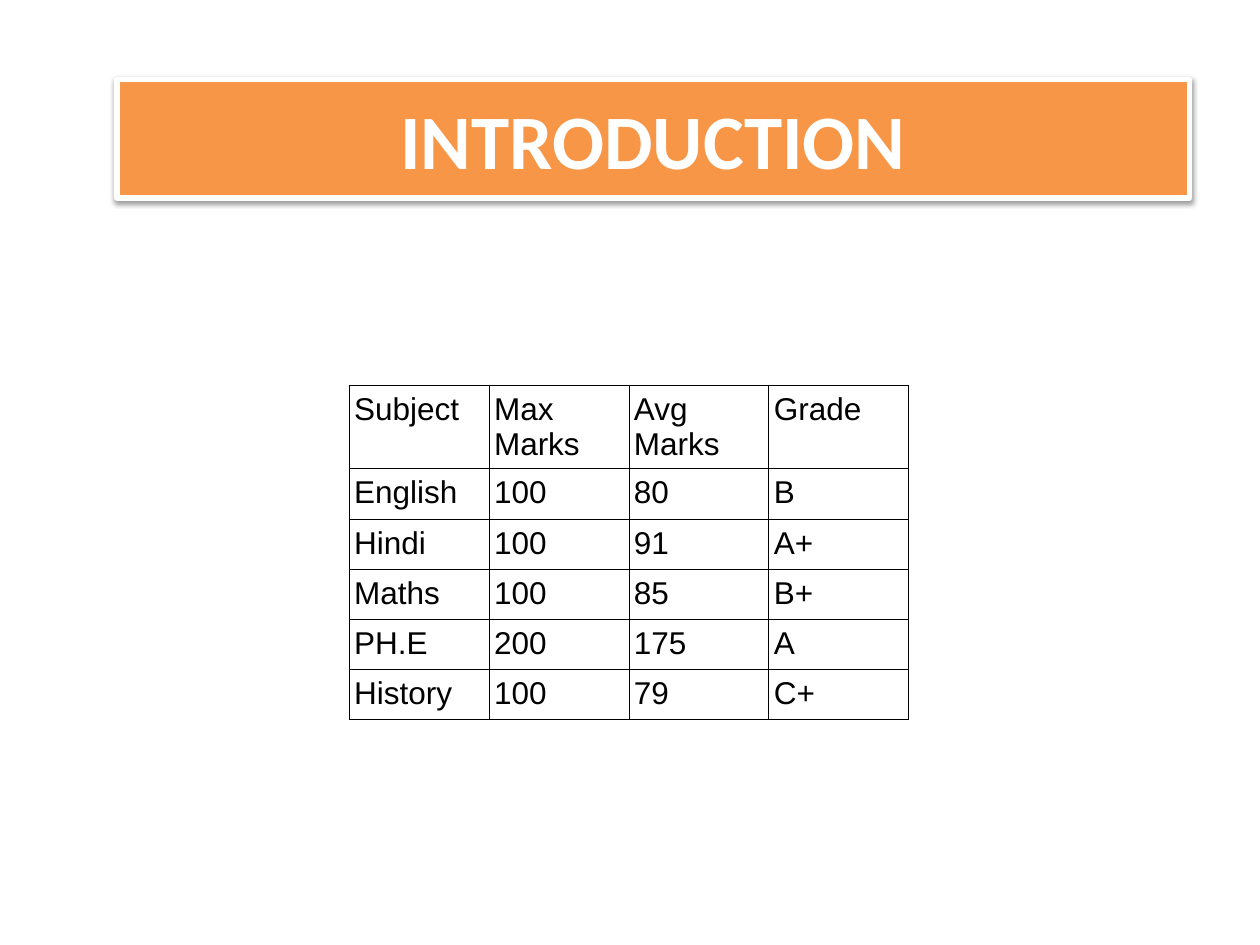
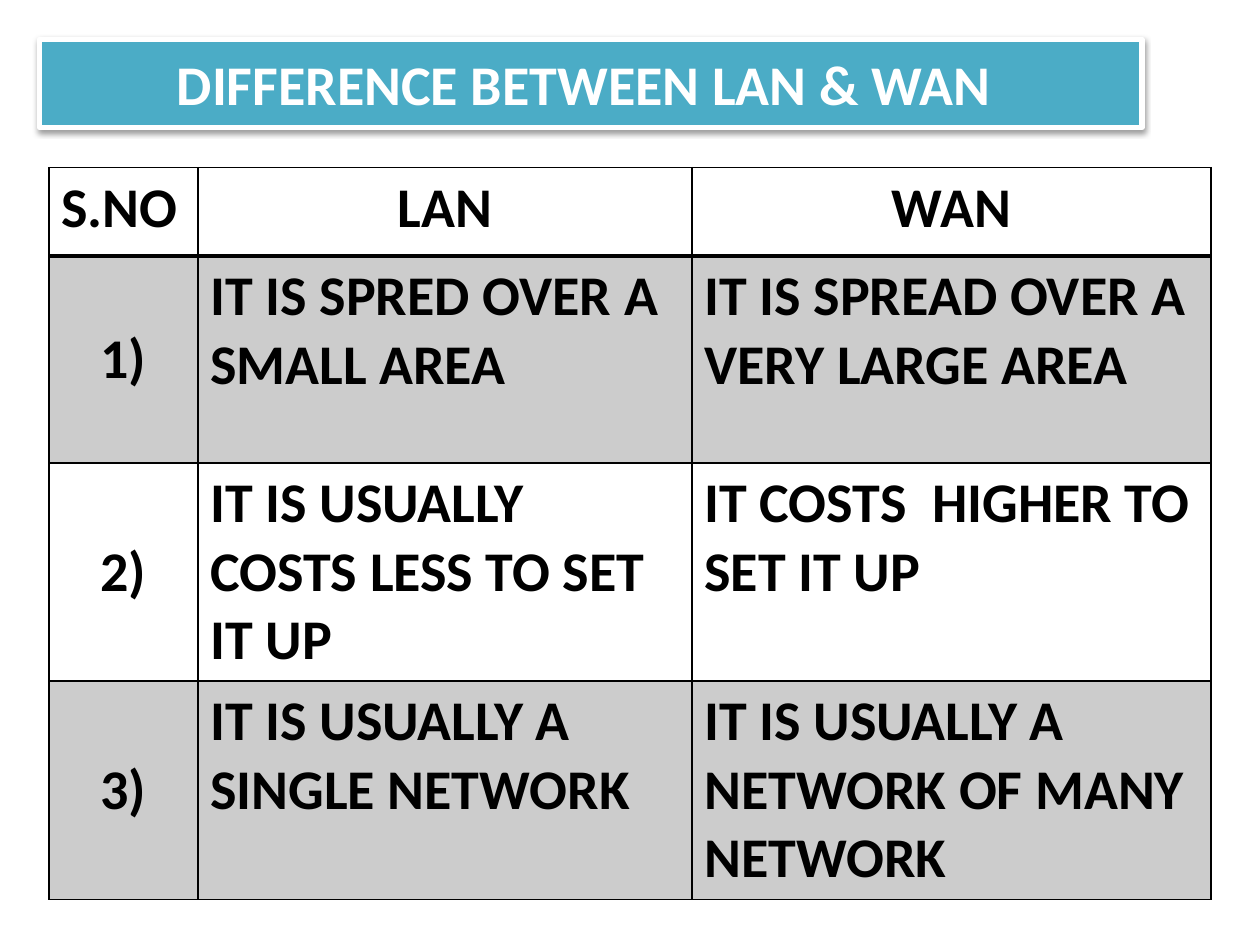
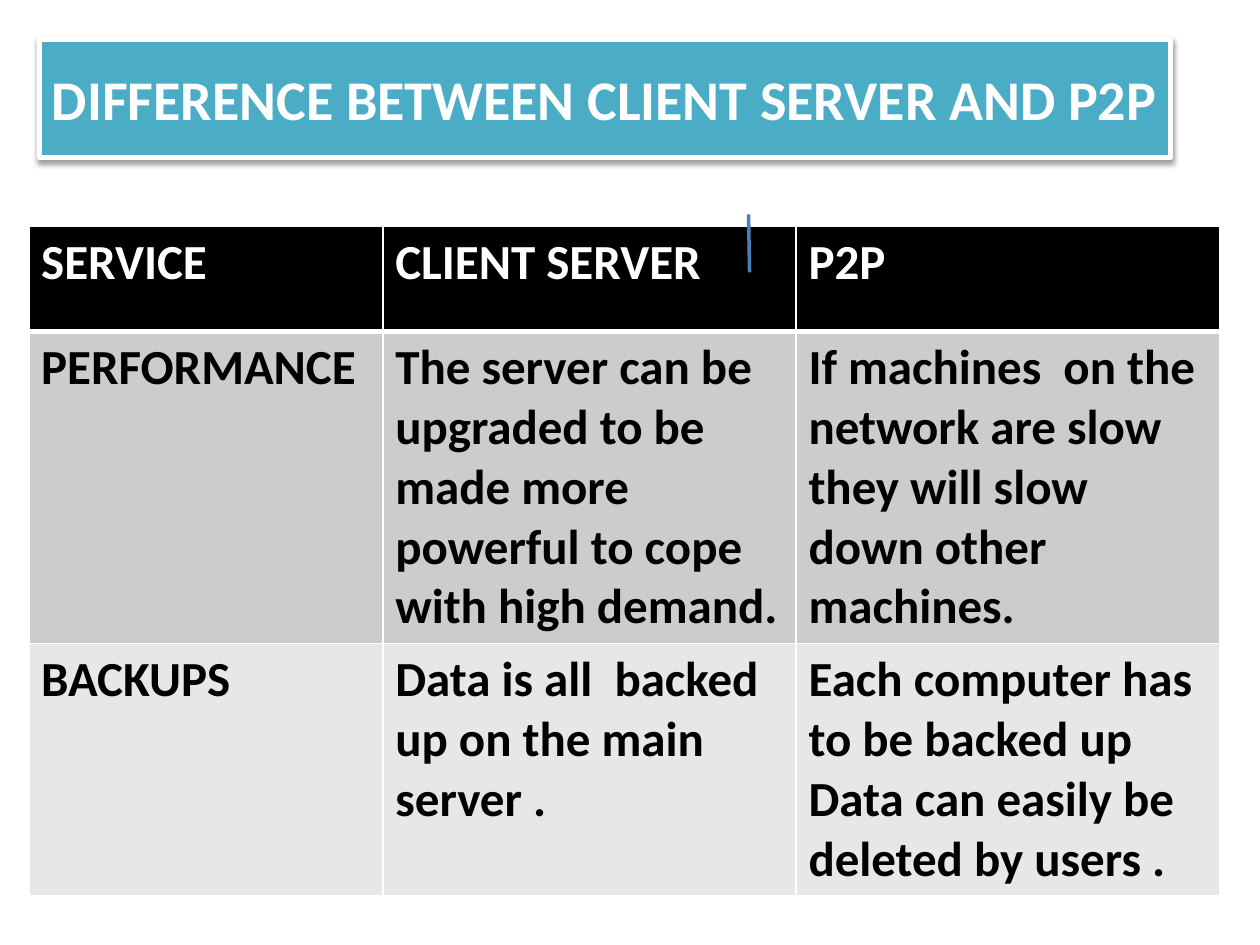
from dataclasses import dataclass

from lxml import etree
from pptx import Presentation
from pptx.dml.color import RGBColor
from pptx.enum.shapes import MSO_CONNECTOR
from pptx.enum.text import MSO_ANCHOR, MSO_AUTO_SIZE, PP_ALIGN
from pptx.oxml import parse_xml
from pptx.oxml.ns import nsdecls, qn
from pptx.util import Cm, Pt

STRAIGHT = MSO_CONNECTOR.STRAIGHT
CENTER, LEFT = PP_ALIGN.CENTER, PP_ALIGN.LEFT
MIDDLE, TOP = MSO_ANCHOR.MIDDLE, MSO_ANCHOR.TOP
TITLE_ONLY = 5

BLACK = RGBColor(0x00, 0x00, 0x00)
WHITE = RGBColor(0xFF, 0xFF, 0xFF)
ORANGE = RGBColor(0xF7, 0x96, 0x46)
TEAL = RGBColor(0x4B, 0xAC, 0xC6)
BLUE = RGBColor(0x4A, 0x7E, 0xBB)
GRAY = RGBColor(0xCC, 0xCC, 0xCC)
PALE_GRAY = RGBColor(0xE7, 0xE7, 0xE7)

MARKS = [
    ["Subject", "Max Marks", "Avg Marks", "Grade"],
    ["English", "100", "80", "B"],
    ["Hindi", "100", "91", "A+"],
    ["Maths", "100", "85", "B+"],
    ["PH.E", "200", "175", "A"],
    ["History", "100", "79", "C+"],
]
LAN_WAN = [
    ["S.NO", "LAN", "WAN"],
    ["1)", "IT IS SPRED OVER A SMALL AREA", "IT IS SPREAD OVER A VERY LARGE AREA"],
    ["2)", "IT IS USUALLY COSTS LESS TO SET IT UP", "IT COSTS  HIGHER TO SET IT UP"],
    ["3)", "IT IS USUALLY A SINGLE NETWORK", "IT IS USUALLY A NETWORK OF MANY NETWORK"],
]
CLIENT_P2P = [
    ["SERVICE", "CLIENT SERVER", "P2P"],
    ["PERFORMANCE",
     "The server can be upgraded to be made more powerful to cope with high demand.",
     "If machines  on the network are slow they will slow down other machines."],
    ["BACKUPS",
     "Data is all  backed  up on the main server .",
     "Each computer has to be backed up Data can easily be deleted by users ."],
]


@dataclass
class TableStyle:
    font: str
    size: int
    bold: bool
    border: RGBColor
    border_width: float
    header_rule: float
    row_fills: list
    header_color: RGBColor = BLACK
    margins: tuple = (0.25, 0.13)


MARKS_STYLE = TableStyle("Arial", 18, False, BLACK, 0.57, 0.57,
                         [None] * len(MARKS), margins=(0.1, 0.13))
LAN_STYLE = TableStyle("Calibri", 32, True, BLACK, 0.96, 1.98,
                       [None, GRAY, None, GRAY])
P2P_STYLE = TableStyle("Calibri", 28, True, WHITE, 0.96, 3,
                       [BLACK, GRAY, PALE_GRAY], header_color=WHITE)


def style_font(paragraph, name, size, bold, color):
    for run in paragraph.runs:
        run.font.name = name
        run.font.size = Pt(size)
        run.font.bold = bold
        run.font.color.rgb = color


def set_fill(fill, color):
    if color is None:
        fill.background()
    else:
        fill.solid()
        fill.fore_color.rgb = color


def add_shadow(shape):
    shape._element.spPr.append(parse_xml(
        f'<a:effectLst {nsdecls("a")}>'
        '<a:outerShdw blurRad="40000" dist="20000" dir="5400000" rotWithShape="0">'
        '<a:srgbClr val="000000"><a:alpha val="38000"/></a:srgbClr>'
        '</a:outerShdw></a:effectLst>'))


def add_titled_slide(presentation, text, color, size, left, top, width, height):
    """Add a slide whose title is a coloured band with a white frame."""
    slide = presentation.slides.add_slide(presentation.slide_layouts[TITLE_ONLY])
    title = slide.shapes.title
    title.left, title.top = Cm(left), Cm(top)
    title.width, title.height = Cm(width), Cm(height)
    set_fill(title.fill, color)
    title.line.color.rgb = WHITE
    title.line.width = Pt(3)
    add_shadow(title)
    frame = title.text_frame
    frame.text = text
    frame.word_wrap = True
    frame.auto_size = MSO_AUTO_SIZE.NONE
    frame.vertical_anchor = MIDDLE
    frame.paragraphs[0].alignment = CENTER
    style_font(frame.paragraphs[0], "Calibri", size, True, WHITE)
    return slide


def set_borders(cell, color, widths):
    """Draw the cell's sides; widths maps L, R, T, B to points, in that order."""
    properties = cell._tc.get_or_add_tcPr()
    for side, width in widths.items():
        line = etree.SubElement(properties, qn(f"a:ln{side}"), w=str(Pt(width)))
        solid = etree.SubElement(line, qn("a:solidFill"))
        etree.SubElement(solid, qn("a:srgbClr"), val=str(color))


def style_cell(cell, row, style):
    thin, rule = style.border_width, style.header_rule
    set_borders(cell, style.border, {
        "L": thin, "R": thin,
        "T": rule if row == 1 else thin,
        "B": rule if row == 0 else thin})
    set_fill(cell.fill, style.row_fills[row])
    side, edge = style.margins
    cell.margin_left = cell.margin_right = Cm(side)
    cell.margin_top = cell.margin_bottom = Cm(edge)
    color = style.header_color if row == 0 else BLACK
    style_font(cell.text_frame.paragraphs[0], style.font, style.size, style.bold, color)


def add_table(slide, rows, style, left, top, widths, heights):
    table = slide.shapes.add_table(
        len(rows), len(widths), Cm(left), Cm(top),
        Cm(sum(widths)), Cm(sum(heights))).table
    table.horz_banding = False
    for column, width in zip(table.columns, widths):
        column.width = Cm(width)
    for row, (texts, height) in enumerate(zip(rows, heights)):
        table.rows[row].height = Cm(height)
        for column, text in enumerate(texts):
            cell = table.cell(row, column)
            cell.text = text
            style_cell(cell, row, style)
    return table


def center_numbers_and_headings(table):
    """Centre the column headings and the serial numbers."""
    for row in range(len(table.rows)):
        for column in range(len(table.columns)):
            centered = (row == 0) != (column == 0)
            cell = table.cell(row, column)
            cell.text_frame.paragraphs[0].alignment = CENTER if centered else LEFT
            cell.vertical_anchor = MIDDLE if row and column == 0 else TOP


def add_hairline(slide, start, end):
    line = slide.shapes.add_connector(
        STRAIGHT, *(Cm(value) for value in start + end))
    line.line.color.rgb = BLUE
    line.line.width = Pt(0)
    etree.SubElement(line._element.spPr, qn("a:effectLst"))


def main():
    presentation = Presentation()
    presentation.slide_width, presentation.slide_height = Cm(25.4), Cm(19.05)

    # Introduction with the marks table
    slide = add_titled_slide(presentation, "INTRODUCTION", ORANGE, 44,
                             2.36, 1.6, 21.62, 2.39)
    add_table(slide, MARKS, MARKS_STYLE, 7.04, 7.77,
              [2.82] * 4, [1.67] + [1.01] * 5)

    # LAN and WAN
    slide = add_titled_slide(presentation, "DIFFERENCE BETWEEN LAN & WAN ", TEAL, 32,
                             0.79, 0.79, 22.23, 1.78)
    table = add_table(slide, LAN_WAN, LAN_STYLE, 0.99, 3.38,
                      [3, 9.96, 10.46], [1.78, 4.17, 4.4, 4.4])
    center_numbers_and_headings(table)

    # Client server and P2P
    slide = add_titled_slide(presentation, "DIFFERENCE BETWEEN CLIENT SERVER AND P2P",
                             TEAL, 32, 0.79, 0.79, 22.81, 2.39)
    add_table(slide, CLIENT_P2P, P2P_STYLE, 0.58, 4.57,
              [7.14, 8.33, 8.53], [2.11, 6.28, 5.08])
    add_hairline(slide, (15.09, 4.32), (15.11, 5.49))

    presentation.save("out.pptx")


if __name__ == "__main__":
    main()
